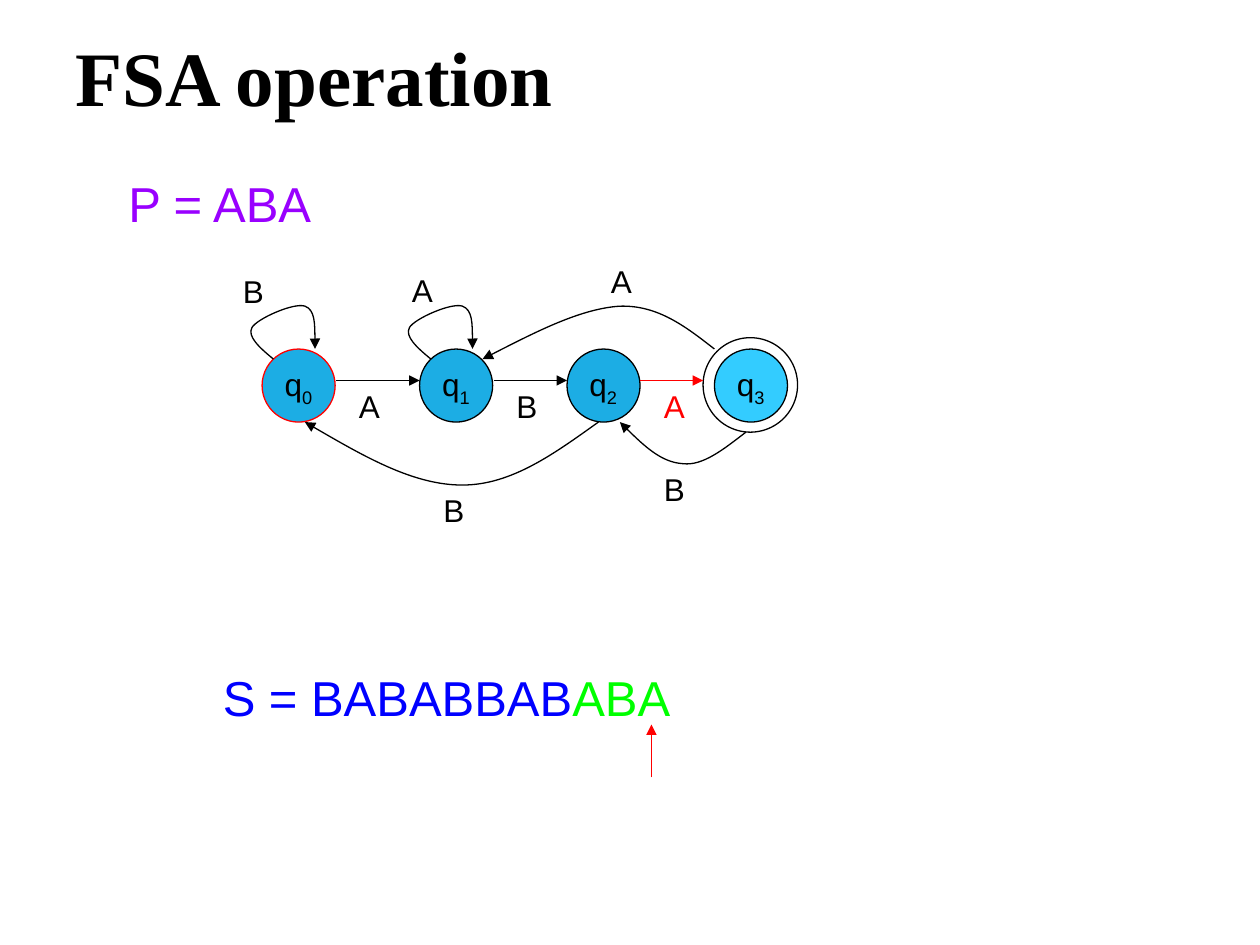
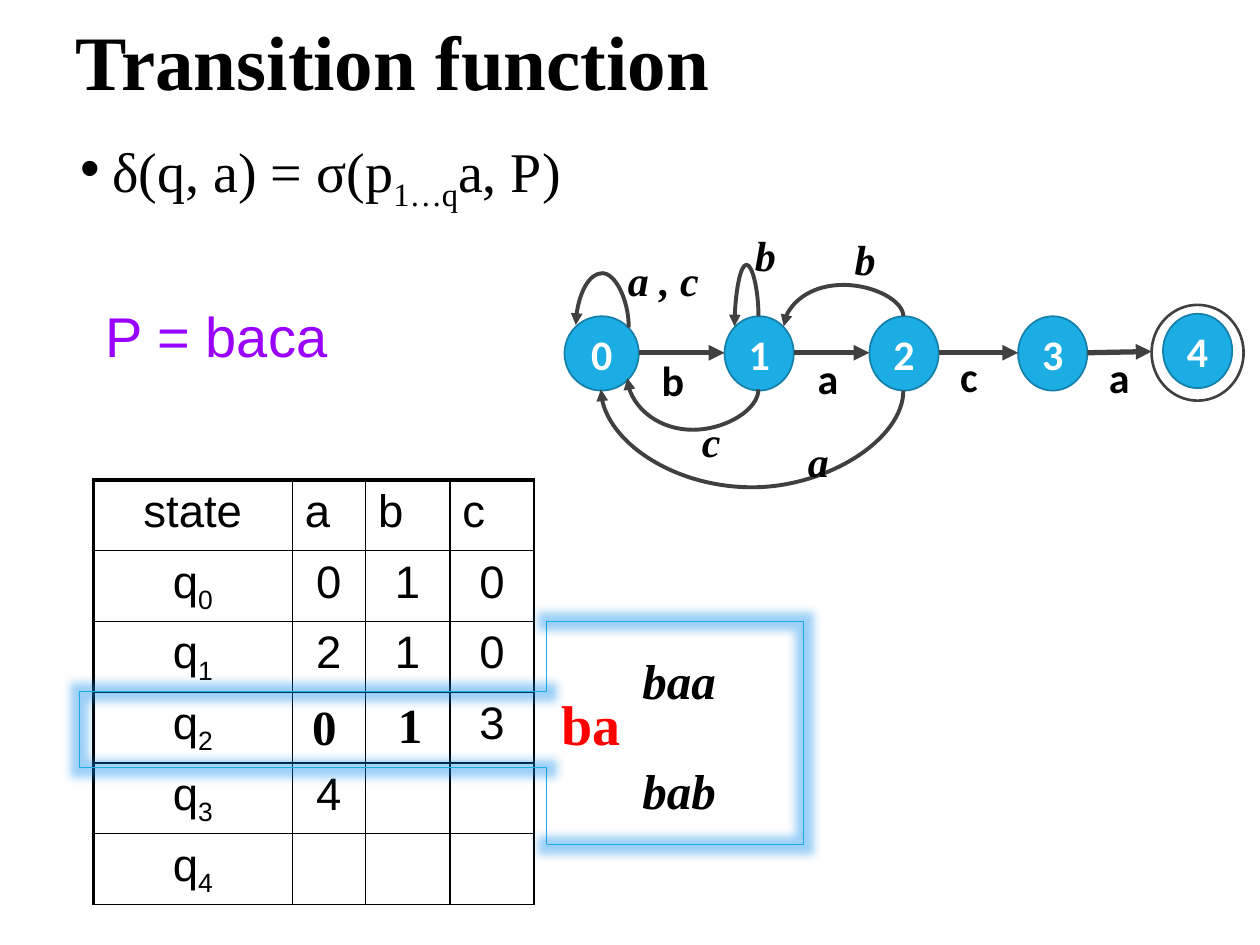
from lxml import etree
from pptx import Presentation
from pptx.dml.color import RGBColor
from pptx.enum.dml import MSO_THEME_COLOR
from pptx.enum.shapes import MSO_CONNECTOR, MSO_SHAPE
from pptx.enum.text import MSO_ANCHOR, MSO_AUTO_SIZE, PP_ALIGN
from pptx.oxml.ns import qn
from pptx.util import Cm, Pt

STRAIGHT, CURVE = MSO_CONNECTOR.STRAIGHT, MSO_CONNECTOR.CURVE
OVAL, LEFT_BRACKET, RIGHT_BRACKET = MSO_SHAPE.OVAL, MSO_SHAPE.LEFT_BRACKET, MSO_SHAPE.RIGHT_BRACKET
LEFT, CENTER = PP_ALIGN.LEFT, PP_ALIGN.CENTER
TOP, MIDDLE = MSO_ANCHOR.TOP, MSO_ANCHOR.MIDDLE
NO_AUTOFIT = MSO_AUTO_SIZE.NONE

BLACK, WHITE, RED, GREY = "000000", "FFFFFF", "FF0000", "404040"
BLUE, DARK_BLUE, LIGHT_BLUE, GLOW = "1CADE4", "1580A9", "33CCFF", "0889EB"
PURPLE, STRING_BLUE, GREEN = "9900FF", "0000FF", "00FF00"


def style(size, name, color=BLACK, bold=False, italic=False):
    """Return the format values of one text style."""
    return {"size": Pt(size), "name": name, "color": color, "bold": bold, "italic": italic}


TITLE = style(44, "Times New Roman", bold=True)
BODY = style(32, "Times New Roman")
LABEL = style(18, "Arial")
PATTERN = style(28, "Arial", PURPLE)
BIG_PATTERN = style(32, "Arial", PURPLE)
CELL = style(26, "Arial")
STATE = style(24, "Calibri", WHITE, bold=True)
EDGE = style(24, "Calibri", bold=True)
BACK_EDGE = style(24, "Times New Roman", bold=True, italic=True)
ENTRY = style(28, "Times New Roman", bold=True)
PREFIX = style(28, "Times New Roman", bold=True, italic=True)
CURRENT = style(32, "Times New Roman", RED, bold=True)
SUB = {"baseline": "-25000"}

STATES = [(2.08, BLUE, RED), (3.33, BLUE, BLACK), (4.5, BLUE, BLACK), (5.67, LIGHT_BLUE, BLACK)]
STEPS = [(2.67, 3.33, BLACK), (3.92, 4.5, BLACK), (5.08, 5.58, RED)]
EDGE_LABELS = [
    ("A", 2.75, 3.02, BLACK), ("B", 4, 3.02, BLACK), ("A", 5.17, 3.02, RED),
    ("B", 1.83, 2.11, BLACK), ("A", 3.17, 2.1, BLACK), ("B", 3.42, 3.85, BLACK),
    ("B", 5.17, 3.68, BLACK), ("A", 4.75, 2.03, BLACK),
]
LOOP = [(2.17, 2.85), (2.06, 2.76), (1.96, 2.67), (2, 2.6), (2.04, 2.53), (2.33, 2.4),
        (2.42, 2.43), (2.5, 2.46), (2.5, 2.61), (2.5, 2.77)]
ARCS = [
    LOOP,
    [(x + 1.25, y) for x, y in LOOP],
    [(4.75, 3.35), (4.4, 3.6), (4.06, 3.85), (3.67, 3.85), (3.28, 3.85), (2.85, 3.6), (2.42, 3.35)],
    [(5.67, 2.77), (5.44, 2.59), (5.22, 2.42), (4.92, 2.43), (4.61, 2.45), (4.22, 2.65), (3.83, 2.85)],
    [(5.92, 3.43), (5.75, 3.56), (5.58, 3.7), (5.42, 3.68), (5.25, 3.67), (5.08, 3.51), (4.92, 3.35)],
]

COLUMNS = [1.58, 0.58, 0.67, 0.67]
ROWS = [["state", "a", "b", "c"], [0, 0, 1, 0], [1, 2, 1, 0], [2, "", "", 3], [3, 4, "", ""], [4, "", "", ""]]
MACHINE = [(4.48, 2.51, 0.59), (5.75, 2.51, 0.55), (6.9, 2.51, 0.55), (8.08, 2.51, 0.55), (9.23, 2.49, 0.55)]
MOVES = [(5.07, 5.75, 2.8), (6.3, 6.9, 2.8), (7.45, 8.08, 2.8), (8.63, 9.14, 2.79)]
MOVE_LABELS = [("b", 5.25, 2.81, 0.18), ("a", 6.49, 2.8, 0.17), ("c", 7.62, 2.78, 0.14), ("a", 8.8, 2.79, 0.17)]
RETURNS = [
    (0, 7, (4.99, 2.6), 0, 1, (4.57, 2.58), 2.17),
    (1, 0, (6.02, 2.51), 1, 1, (5.83, 2.59), 2.1),
    (1, 4, (6.02, 3.09), 0, 5, (4.98, 3), 3.41),
    (2, 0, (7.17, 2.51), 1, 7, (6.22, 2.59), 2.26),
    (2, 4, (7.17, 3.1), 0, 4, (4.77, 3.09), 3.88),
]
RETURN_LABELS = [("a , c", 4.88, 1.89, 0.77), ("b", 5.8, 1.69, 0.55), ("c", 5.37, 3.17, 0.55),
                 ("b", 6.59, 1.72, 0.55), ("a", 6.22, 3.33, 0.55)]
NOTES = [
    ("P = baca", (0.74, 2.34, 3.08, 0.63), BIG_PATTERN),
    ("baa", (5, 5.11, 1.1, 0.57), PREFIX),
    ("ba", (4.36, 5.42, 0.68, 0.64), CURRENT),
    ("bab", (5, 5.99, 1.1, 0.57), PREFIX),
    ("0", (2.38, 5.48, 0.46, 0.57), ENTRY),
    ("1", (3.06, 5.46, 0.46, 0.57), ENTRY),
]
BRACKETS = [(LEFT_BRACKET, (0.63, 5.49, 3.71, 0.6)), (RIGHT_BRACKET, (4.34, 4.93, 2.04, 1.77))]
BRACKET_JOINS = [(5.49, 4.93), (6.09, 6.7)]


def lengths(*inches):
    """Convert inches to lengths."""
    return [Cm(value * 2.54) for value in inches]


def rgb(color):
    """Turn a hex string into a colour."""
    return RGBColor.from_string(color)


def add_xml(parent, tag, **values):
    """Append an element with the given attributes."""
    element = etree.SubElement(parent, qn(tag))
    for name, value in values.items():
        element.set(name, str(value))
    return element


def write(para, spans, base):
    """Write a string, or (text, changes) spans, in a base style."""
    for text, changes in [(spans, {})] if isinstance(spans, str) else spans:
        span = para.add_run()
        span.text = text
        values = {**base, **changes}
        span.font.color.rgb = rgb(values.pop("color"))
        if "baseline" in values:
            span.font._element.set("baseline", values.pop("baseline"))
        for name, value in values.items():
            setattr(span.font, name, value)


def set_frame(frame, spans, base, align=LEFT, anchor=TOP, spacing=1.0, wrap=True, margin=None):
    """Format a text frame and fill its first paragraph."""
    settings = {"word_wrap": wrap, "vertical_anchor": anchor, "auto_size": NO_AUTOFIT}
    if margin is not None:
        settings.update({f"margin_{side}": margin for side in ("left", "top", "right", "bottom")})
    for name, value in settings.items():
        setattr(frame, name, value)
    para = frame.paragraphs[0]
    para.alignment, para.line_spacing, para.space_before = align, spacing, Pt(0)
    write(para, spans, base)
    return para


def add_text(page, spans, place, base, **layout):
    """Add a text box."""
    box = page.shapes.add_textbox(*lengths(*place))
    set_frame(box.text_frame, spans, base, **layout)


def fill_placeholder(box, spans, place, base, **layout):
    """Move a placeholder and fill it."""
    box.left, box.top, box.width, box.height = lengths(*place)
    return set_frame(box.text_frame, spans, base, spacing=0.9, **layout)


def draw_line(shape, color, width, arrow=False):
    """Set the outline of a shape or connector."""
    shape.line.color.rgb = rgb(color)
    shape.line.width = Pt(width)
    if arrow:
        add_xml(shape.line._get_or_add_ln(), "a:tailEnd", type="triangle")


def add_outline(page, kind, place, color, width, fill=None):
    """Add a preset shape, hollow unless a fill is given."""
    shape = page.shapes.add_shape(kind, *lengths(*place))
    shape.shadow.inherit = False
    if fill:
        shape.fill.solid()
        shape.fill.fore_color.rgb = rgb(fill)
    else:
        shape.fill.background()
    draw_line(shape, color, width)
    return shape


def add_link(page, begin, end, color, width, arrow=True, kind=STRAIGHT):
    """Add a connector without a shadow."""
    link = page.shapes.add_connector(kind, *lengths(*begin, *end))
    draw_line(link, color, width, arrow)
    add_xml(link._element.spPr, "a:effectLst")
    return link


def add_arc(page, points):
    """Add an arrow along a chain of cubic curves."""
    nodes = [lengths(*point) for point in points]
    curves = [nodes[i:i + 4] for i in range(0, len(nodes) - 1, 3)]
    samples = []
    for curve in curves:
        for t in (step / 20 for step in range(1, 21)):
            weights = ((1 - t) ** 3, 3 * t * (1 - t) ** 2, 3 * t * t * (1 - t), t ** 3)
            samples.append([round(sum(w * node[axis] for w, node in zip(weights, curve))) for axis in (0, 1)])
    builder = page.shapes.build_freeform(*nodes[0], scale=1.0)
    builder.add_line_segments(samples, close=False)
    arc = builder.convert_to_shape()
    arc.shadow.inherit = False
    arc.fill.background()
    draw_line(arc, BLACK, 0.75, arrow=True)
    outline = next(arc._element.iter(qn("a:path")))
    for segment in outline.findall(qn("a:lnTo")):
        outline.remove(segment)
    for curve in curves:
        bend = add_xml(outline, "a:cubicBezTo")
        for x, y in curve[1:]:
            add_xml(bend, "a:pt", x=x - arc.left, y=y - arc.top)


def add_return(page, states, source, source_site, begin, target, target_site, end, bulge):
    """Add a curved arrow that leaves vertically, turns at height bulge and ends further left."""
    (x1, y1), (x2, y2) = begin, end
    width, height = abs(y2 - y1), abs(x2 - x1)
    left, top = (x1 + x2 - width) / 2, (y1 + y2 - height) / 2
    link = add_link(page, (left, top), (left + width, top + height), GREY, 2.25, kind=CURVE)
    upward = bulge < y1
    frame = link._element.spPr.find(qn("a:xfrm"))
    frame.set("rot", str((270 if upward else 90) * 60000))
    frame.set("flipH", str(int((y2 < y1) != upward)))
    frame.set("flipV", str(int(upward)))
    guides = next(link._element.iter(qn("a:avLst")))
    add_xml(guides, "a:gd", name="adj1", fmla=f"val {round((bulge - y1) / (y2 - y1) * 100000)}")
    joints = next(link._element.iter(qn("p:cNvCxnSpPr")))
    add_xml(joints, "a:stCxn", id=states[source].shape_id, idx=source_site)
    add_xml(joints, "a:endCxn", id=states[target].shape_id, idx=target_site)


def add_state_table(page):
    """Add the table of transitions."""
    place = lengths(0.74, 3.81, sum(COLUMNS), 0.56 * len(ROWS))
    table = page.shapes.add_table(len(ROWS), len(COLUMNS), *place).table
    table.first_row = table.horz_banding = False
    for column, width in zip(table.columns, lengths(*COLUMNS)):
        column.width = width
    for r, row in enumerate(ROWS):
        for c, value in enumerate(row):
            cell = table.cell(r, c)
            properties = cell._tc.get_or_add_tcPr()
            for side, thick in (("L", c == 0), ("R", False), ("T", r == 0), ("B", False)):
                border = add_xml(properties, f"a:ln{side}", w=Pt(2.25 if thick else 1))
                add_xml(add_xml(border, "a:solidFill"), "a:srgbClr", val=BLACK)
            cell.fill.background()
            para = cell.text_frame.paragraphs[0]
            para.alignment = LEFT if r == 0 and c > 0 else CENTER
            if value != "":
                write(para, [("q", {}), (str(value), SUB)] if r and c == 0 else str(value), CELL)


def build_operation(page):
    """Build the slide that runs the automaton."""
    fill_placeholder(page.shapes.title, "FSA operation", (0.5, 0.13, 8.25, 1.03), TITLE, anchor=MIDDLE)
    add_outline(page, OVAL, (5.58, 2.68, 0.75, 0.75), BLACK, 0.75)
    for number, (left, fill, line) in enumerate(STATES):
        add_outline(page, OVAL, (left, 2.77, 0.58, 0.58), line, 0.75, fill)
        add_text(page, [("q", {}), (str(number), SUB)], (left + 0.08, 2.85, 0.58, 0.4), LABEL)
    for start, stop, color in STEPS:
        add_link(page, (start, 3.02), (stop, 3.02), color, 0.75)
    for points in ARCS:
        add_arc(page, points)
    for text, left, top, color in EDGE_LABELS:
        add_text(page, text, (left, top, 0.58, 0.4), {**LABEL, "color": color})
    add_text(page, "P = ABA", (0.92, 1.33, 4.75, 0.57), PATTERN)
    add_text(page, [("S = BABABBAB", {}), ("ABA", {"color": GREEN})], (1.67, 5.25, 4.42, 0.57),
             {**PATTERN, "color": STRING_BLUE})
    add_link(page, (5.17, 6.17), (5.17, 5.75), RED, 0.75)


def build_transition(page):
    """Build the slide on the transition function."""
    add_state_table(page)
    fill_placeholder(page.shapes.title, "Transition function", (0.5, 0.13, 8.25, 0.78), TITLE, anchor=MIDDLE)
    formula = [("δ(q, a) = σ(p", {}), ("1…q", SUB), ("a, P)", {})]
    para = fill_placeholder(page.placeholders[1], formula, (0.54, 1.04, 9, 0.79), BODY)
    properties = para._p.get_or_add_pPr()
    indent = lengths(0.25)[0]
    properties.set("marL", str(indent))
    properties.set("indent", str(-indent))
    add_xml(properties, "a:buFont", typeface="Arial")
    add_xml(properties, "a:buChar", char="•")
    for text, place, base in NOTES:
        add_text(page, text, place, base)
    states = []
    for number, (left, top, width) in enumerate(MACHINE):
        state = add_outline(page, OVAL, (left, top, width, 0.59), DARK_BLUE, 1, BLUE)
        set_frame(state.text_frame, str(number), STATE, align=CENTER, anchor=MIDDLE, wrap=False)
        states.append(state)
    for start, stop, end_height in MOVES:
        add_link(page, (start, 2.8), (stop, end_height), GREY, 3)
    add_outline(page, OVAL, (9.14, 2.42, 0.73, 0.76), GREY, 1.5)
    for text, left, top, width in MOVE_LABELS:
        add_text(page, text, (left, top, width, 0.4), EDGE, wrap=False, margin=0)
    for arrow in RETURNS:
        add_return(page, states, *arrow)
    for text, left, top, width in RETURN_LABELS:
        add_text(page, text, (left, top, width, 0.58), BACK_EDGE, align=CENTER, spacing=1.2)
    for start, stop in BRACKET_JOINS:
        add_link(page, (4.34, start), (4.34, stop), BLUE, 0.5, arrow=False)
    for kind, place in BRACKETS:
        bracket = add_outline(page, kind, place, BLUE, 0.5)
        bracket.adjustments[0] = 0
        glow = add_xml(bracket._element.spPr.find(qn("a:effectLst")), "a:glow", rad=Pt(10))
        add_xml(add_xml(glow, "a:srgbClr", val=GLOW), "a:alpha", val=40000)


def main():
    """Build and save the deck."""
    deck = Presentation()
    deck.slide_width, deck.slide_height = lengths(10, 7.5)
    for layout, build in ((5, build_operation), (1, build_transition)):
        page = deck.slides.add_slide(deck.slide_layouts[layout])
        page.background.fill.solid()
        page.background.fill.fore_color.theme_color = MSO_THEME_COLOR.BACKGROUND_1
        build(page)
    deck.save("out.pptx")


if __name__ == "__main__":
    main()
